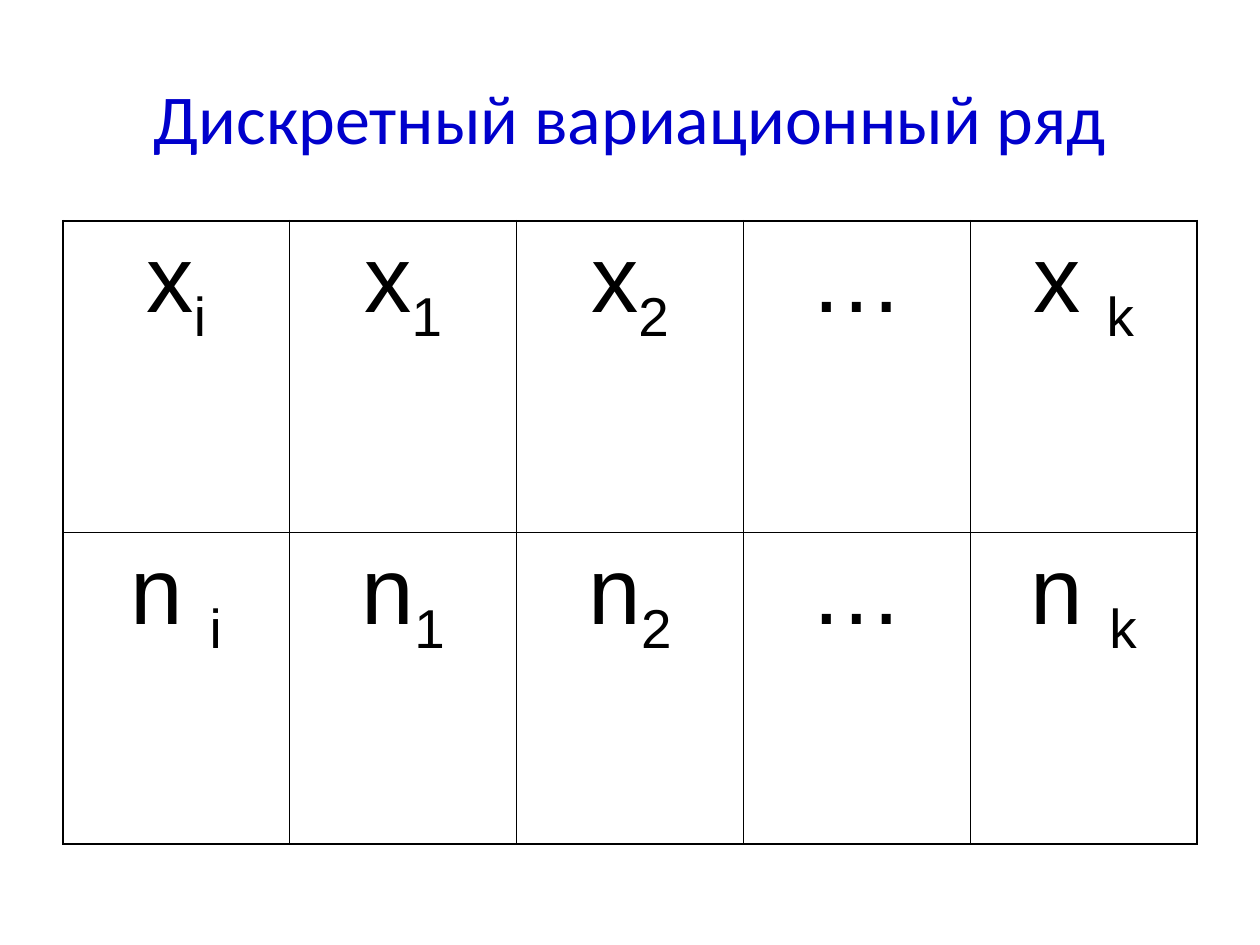
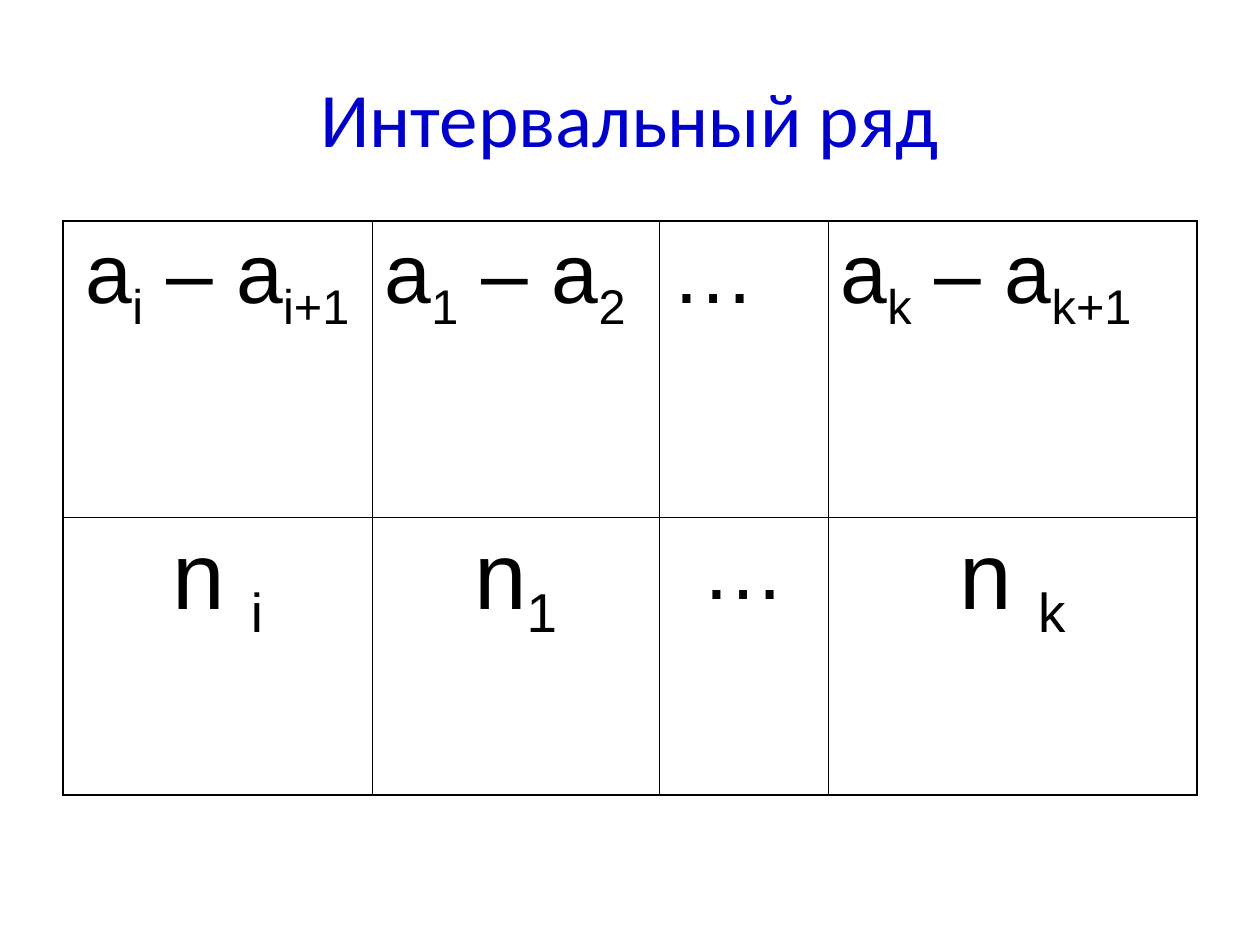
from dataclasses import dataclass

from lxml import etree
from pptx import Presentation
from pptx.dml.color import RGBColor
from pptx.enum.text import MSO_ANCHOR, MSO_AUTO_SIZE, PP_ALIGN
from pptx.oxml.ns import qn
from pptx.util import Cm, Pt

CENTER, LEFT = PP_ALIGN.CENTER, PP_ALIGN.LEFT
MIDDLE, TOP = MSO_ANCHOR.MIDDLE, MSO_ANCHOR.TOP
NO_AUTOFIT = MSO_AUTO_SIZE.NONE
TITLE_ONLY = 5


@dataclass(frozen=True)
class Theme:
    title_color: RGBColor = RGBColor(0x00, 0x00, 0xCC)
    ink: RGBColor = RGBColor(0x00, 0x00, 0x00)
    title_font: str = "Calibri"
    cell_font: str = "Arial"
    title_size: int = 44
    long_title_size: int = 40
    symbol_size: int = 54
    interval_size: int = 48
    outer_line: float = 1.08
    inner_line: float = 0.45
    left: float = 1.27
    width: float = 22.86
    title_top: float = 0.76
    title_height: float = 3.18
    table_top: float = 4.45


class Deck:
    """Holds the theme and the slide being built."""

    def __init__(self, theme):
        self.theme = theme
        self.prs = Presentation()
        self.prs.slide_width, self.prs.slide_height = Cm(25.4), Cm(19.05)
        self.slide = None

    def new_slide(self, heading, size):
        self.slide = self.prs.slides.add_slide(self.prs.slide_layouts[TITLE_ONLY])
        theme, title = self.theme, self.slide.shapes.title
        title.left, title.top = Cm(theme.left), Cm(theme.title_top)
        title.width, title.height = Cm(theme.width), Cm(theme.title_height)
        frame = title.text_frame
        frame.auto_size, frame.word_wrap = NO_AUTOFIT, True
        frame.vertical_anchor = MIDDLE
        frame.paragraphs[0].alignment = CENTER
        self.run(frame.paragraphs[0], heading, theme.title_font, size, theme.title_color)

    def run(self, paragraph, text, font, size, color):
        run = paragraph.add_run()
        run.text = text
        run.font.name, run.font.size = font, Pt(size)
        run.font.color.rgb = color
        return run

    def formula(self, cell, markup, size, align):
        """Write text in which every second part between ~ marks is a subscript."""
        cell.vertical_anchor = TOP
        paragraph = cell.text_frame.paragraphs[0]
        paragraph.alignment = align
        for index, part in enumerate(markup.split("~")):
            run = self.run(paragraph, part, self.theme.cell_font, size, self.theme.ink)
            if index % 2:
                run.font._element.set("baseline", "-25000")

    def borders(self, cell, outer_sides):
        properties = cell._tc.get_or_add_tcPr()
        for side, is_outer in outer_sides.items():
            width = self.theme.outer_line if is_outer else self.theme.inner_line
            line = etree.SubElement(properties, qn(f"a:ln{side}"), w=str(Pt(width)))
            fill = etree.SubElement(line, qn("a:solidFill"))
            etree.SubElement(fill, qn("a:srgbClr"), val=str(self.theme.ink))

    def series_table(self, rows, widths, heights):
        """Each cell is (markup, size, alignment)."""
        theme = self.theme
        table = self.slide.shapes.add_table(
            len(rows), len(widths), Cm(theme.left), Cm(theme.table_top),
            Cm(theme.width), Cm(sum(heights))).table
        table.first_row = table.horz_banding = False
        for column, width in zip(table.columns, widths):
            column.width = Cm(width)
        for row, height in zip(table.rows, heights):
            row.height = Cm(height)
        for r, row in enumerate(rows):
            for c, (markup, size, align) in enumerate(row):
                cell = table.cell(r, c)
                self.borders(cell, {"L": c == 0, "R": c == len(widths) - 1,
                                    "T": r == 0, "B": r == len(rows) - 1})
                cell.fill.background()
                self.formula(cell, markup, size, align)


def main():
    theme = Theme()
    deck = Deck(theme)
    symbol, interval = theme.symbol_size, theme.interval_size

    # Discrete series: values and their frequencies
    deck.new_slide("Дискретный вариационный ряд", theme.long_title_size)
    values = ["x~i", "x~1", "x~2", "…", "x ~k"]
    frequencies = ["n ~i", "n~1", "n~2", "…", "n ~k"]
    deck.series_table(
        [[(markup, symbol, CENTER) for markup in row] for row in (values, frequencies)],
        widths=[theme.width / len(values)] * len(values), heights=[6.29, 6.28])

    # Interval series: intervals and their frequencies
    deck.new_slide("Интервальный ряд", theme.title_size)
    intervals = [("а~i~ – а~i+1", interval, CENTER), ("а~1~ – а~2", interval, LEFT),
                 ("…", interval, LEFT), ("а~k~ – а~k+1", interval, LEFT)]
    interval_frequencies = [("n ~i", symbol, CENTER), ("n~1", symbol, CENTER),
                            ("…", interval, CENTER), ("n ~k", symbol, CENTER)]
    deck.series_table([intervals, interval_frequencies],
                      widths=[6.23, 5.79, 3.4, 7.44], heights=[5.98, 5.6])

    deck.prs.save("out.pptx")


if __name__ == "__main__":
    main()
